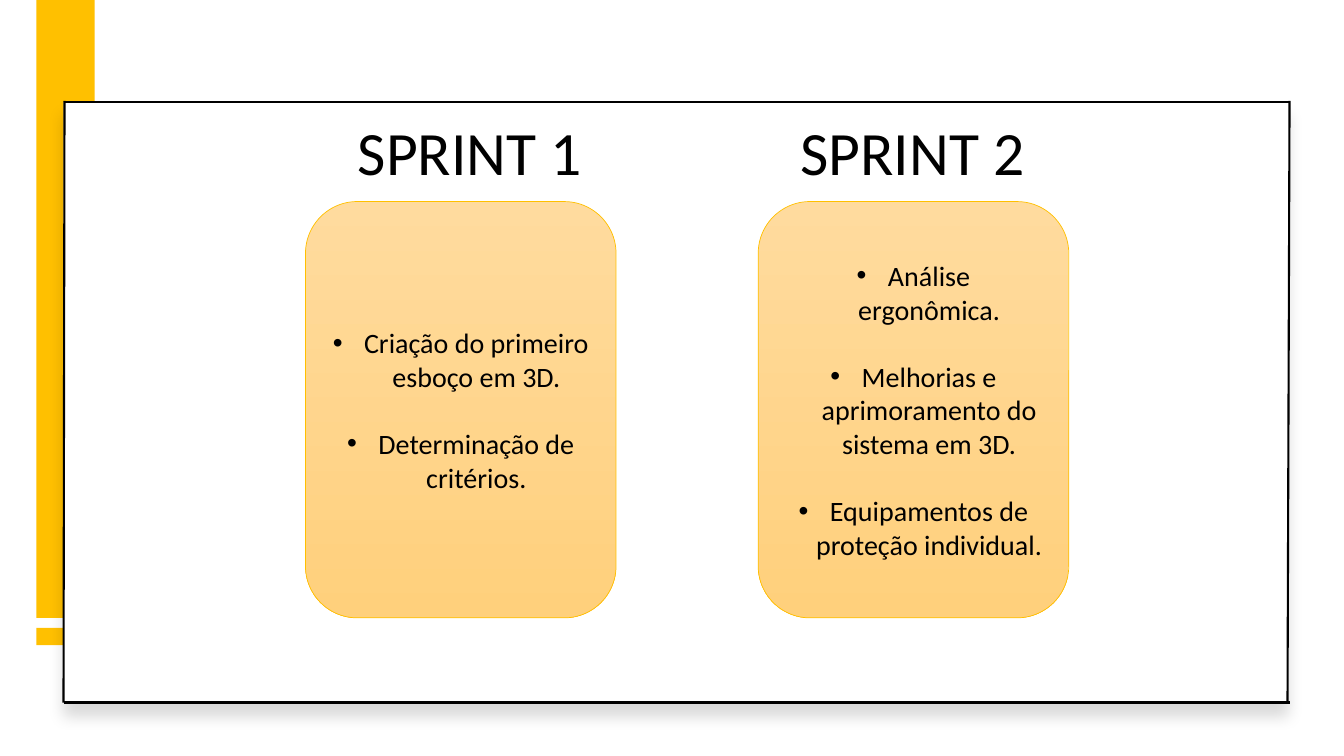
"""Build the slide listing the goals of sprints 1 and 2."""
from lxml.etree import SubElement
from pptx import Presentation
from pptx.dml.color import RGBColor
from pptx.enum.shapes import MSO_CONNECTOR, MSO_SHAPE
from pptx.enum.text import MSO_ANCHOR, PP_ALIGN
from pptx.oxml import parse_xml
from pptx.oxml.ns import nsdecls, qn
from pptx.util import Inches, Pt

COLORS = {"accent": "FFC000", "white": "FFFFFF", "black": "000000",
          "card_top": "FFDB9E", "card_bottom": "FFD07C"}
RGB = {name: RGBColor.from_string(value) for name, value in COLORS.items()}
FONT = "Calibri"

prs = Presentation()
prs.slide_width, prs.slide_height = Inches(13.33), Inches(7.5)
slide = prs.slides.add_slide(prs.slide_layouts[6])


def add_block(kind, left, top, width, height):
    block = slide.shapes.add_shape(
        kind, Inches(left), Inches(top), Inches(width), Inches(height))
    block.shadow.inherit = False
    return block


for left, top, width, height, color in [
    (0.36, 6.23, 0.58, 0.17, "accent"),
    (0.36, 0, 0.58, 6.13, "accent"),
    (0.63, 1.01, 12.15, 5.97, "white"),
]:
    panel = add_block(MSO_SHAPE.RECTANGLE, left, top, width, height)
    panel.fill.solid()
    panel.fill.fore_color.rgb = RGB[color]
    panel.line.fill.background()

effects = panel.fill._xPr.find(qn("a:effectLst"))
effects.append(parse_xml(
    f'<a:outerShdw {nsdecls("a")} blurRad="{Pt(11)}" dist="{Pt(10)}" dir="5400000" '
    f'algn="t" rotWithShape="0"><a:srgbClr val="{COLORS["black"]}">'
    '<a:alpha val="15000"/></a:srgbClr></a:outerShdw>'))

sprints = [
    ("SPRINT 1", 3.45, 3.03,
     ["Criação do primeiro esboço em 3D.", "Determinação de critérios."]),
    ("SPRINT 2", 7.84, 7.52,
     ["Análise ergonômica.", "Melhorias e aprimoramento do sistema em 3D.",
      "Equipamentos de proteção individual."]),
]
for title, title_left, card_left, goals in sprints:
    card = add_block(MSO_SHAPE.ROUNDED_RECTANGLE, card_left, 2, 3.08, 4.13)
    card.fill.gradient()
    card.fill.gradient_angle = 270
    for stop, color in zip(card.fill.gradient_stops, ["card_top", "card_bottom"]):
        stop.color.rgb = RGB[color]
    card.line.color.rgb = RGB["accent"]
    card.line.width = Pt(0.5)

    goal_list = card.text_frame
    goal_list.word_wrap = True
    goal_list.vertical_anchor = MSO_ANCHOR.MIDDLE
    for index, goal in enumerate(goals):
        item = goal_list.add_paragraph() if index else goal_list.paragraphs[0]
        item.text = goal
        item.alignment = PP_ALIGN.CENTER
        if index:
            item.space_before = Pt(24)
        properties = item._p.get_or_add_pPr()
        properties.set("marL", str(Inches(0.31)))
        properties.set("indent", str(-Inches(0.31)))
        SubElement(properties, qn("a:buFont"), typeface="Arial")
        SubElement(properties, qn("a:buChar"), char="•")
        item.font.size = Pt(20)
        item.font.name = FONT
        item.font.color.rgb = RGB["black"]

    heading = slide.shapes.add_textbox(
        Inches(title_left), Inches(1.08), Inches(2.45), Inches(0.84))
    heading.text_frame.word_wrap = False
    heading_line = heading.text_frame.paragraphs[0]
    heading_line.text = title
    heading_line.font.size = Pt(44)
    heading_line.font.name = FONT
    heading_line.font.color.rgb = RGB["black"]

for x1, y1, x2, y2 in [
    (0.63, 1.01, 12.79, 1.01),
    (0.63, 6.97, 12.79, 6.97),
    (0.64, 1, 0.63, 6.97),
    (12.79, 1, 12.77, 6.97),
]:
    border = slide.shapes.add_connector(
        MSO_CONNECTOR.STRAIGHT, Inches(x1), Inches(y1), Inches(x2), Inches(y2))
    border.line.color.rgb = RGB["black"]
    border.line.width = Pt(1.5)
    SubElement(border._element.spPr, qn("a:effectLst"))

prs.save("out.pptx")
